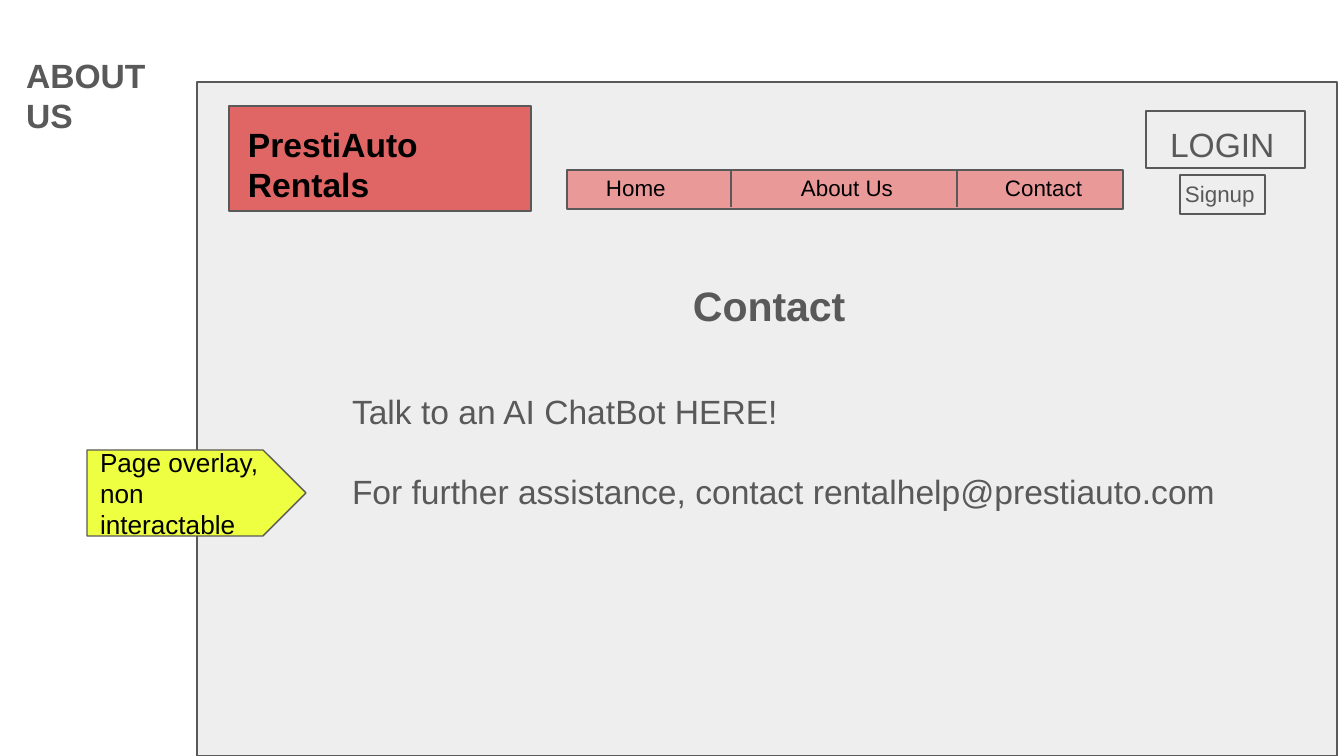
from pptx import Presentation
from pptx.dml.color import RGBColor
from pptx.enum.shapes import MSO_CONNECTOR as Link, MSO_SHAPE as Form
from pptx.enum.text import MSO_ANCHOR as Anchor, MSO_AUTO_SIZE as Fit, PP_ALIGN as Align
from pptx.oxml.ns import qn
from pptx.util import Pt
from lxml.etree import SubElement as Sub

SCALE = 914400 / 134.4
GREY, PALE, BLACK = "595959", "EEEEEE", "000000"


def px(n):
    return round(n * SCALE)


def tint(obj, code):
    obj.rgb = RGBColor.from_string(code)


def edge(line):
    tint(line.color, GREY)
    line.width = Pt(0.75)


def write(shape, text, size, color=GREY, bold=False, anchor=Anchor.TOP):
    frame = shape.text_frame
    frame.text = text
    frame.word_wrap = True
    frame.auto_size = Fit.NONE
    frame.vertical_anchor = anchor
    frame.margin_left = frame.margin_right = px(13)
    frame.margin_top = frame.margin_bottom = px(13)
    for para in frame.paragraphs:
        para.alignment = Align.LEFT
        para.space_before = Pt(0)
        for run in para.runs:
            font = run.font
            font.name, font.size, font.bold = "Arial", Pt(size), bold
            tint(font.color, color)
    return frame


def box(slide, area, fill, form=Form.RECTANGLE):
    shape = slide.shapes.add_shape(form, *map(px, area))
    shape.shadow.inherit = False
    shape.fill.solid()
    tint(shape.fill.fore_color, fill)
    edge(shape.line)
    return shape


def label(slide, area, text, size, color=GREY, bold=False):
    shape = slide.shapes.add_textbox(*map(px, area))
    return write(shape, text, size, color, bold)


def place(shape, area):
    shape.left, shape.top, shape.width, shape.height = map(px, area)
    shape.element.getparent().append(shape.element)


def rule(slide, x, top, end):
    line = slide.shapes.add_connector(Link.STRAIGHT, px(x), px(top), px(x), px(end))
    edge(line.line)
    Sub(line.element.spPr, qn("a:effectLst"))


def head(slide):
    box(slide, (1180, 175, 85, 39), PALE)
    label(slide, (680, 267, 216, 70), "Contact", 22, bold=True)
    box(slide, (1146, 111, 159, 57), PALE)
    label(slide, (1157, 111, 137, 39), "LOGIN", 18)
    label(slide, (1172, 167, 132, 57), "Signup", 12)
    box(slide, (229, 106, 302, 105), "E06666")
    label(slide, (235, 111, 296, 86), "PrestiAuto\nRentals", 18, BLACK, True)


def menu(slide):
    box(slide, (567, 170, 556, 39), "EA9999")
    frame = label(slide, (567, 161, 536, 57), "Home\tAbout Us\tContact", 12, BLACK)
    frame.margin_left = px(39)
    tabs = Sub(frame.paragraphs[0]._p.get_or_add_pPr(), qn("a:tabLst"))
    for stop in (195, 399):
        Sub(tabs, qn("a:tab"), pos=str(px(stop)), algn="l")
    for x in (731, 957):
        rule(slide, x, 170, 207)


def body(slide):
    shape = slide.placeholders[1]
    place(shape, (339, 378, 900, 337))
    text = "Talk to an AI ChatBot HERE!\nFor further assistance, contact rentalhelp@prestiauto.com"
    paras = write(shape, text, 18).paragraphs
    for para in paras:
        props = para._p.get_or_add_pPr()
        props.set("marL", "0")
        props.set("indent", "0")
        Sub(props, qn("a:buNone"))
    paras[1].space_before = Pt(21)


def main():
    deck = Presentation()
    deck.slide_width, deck.slide_height = px(1344), px(756)
    slide = deck.slides.add_slide(deck.slide_layouts[1])
    box(slide, (197, 82, 1140, 674), PALE)
    head(slide)
    title = slide.shapes.title
    place(title, (13, 42, 159, 105))
    write(title, "ABOUT US", 18, bold=True)
    body(slide)
    note = box(slide, (87, 450, 219, 86), "EEFF41", Form.PENTAGON)
    write(note, "Page overlay, non interactable", 14, BLACK, anchor=Anchor.MIDDLE)
    menu(slide)
    deck.save("out.pptx")


if __name__ == "__main__":
    main()
